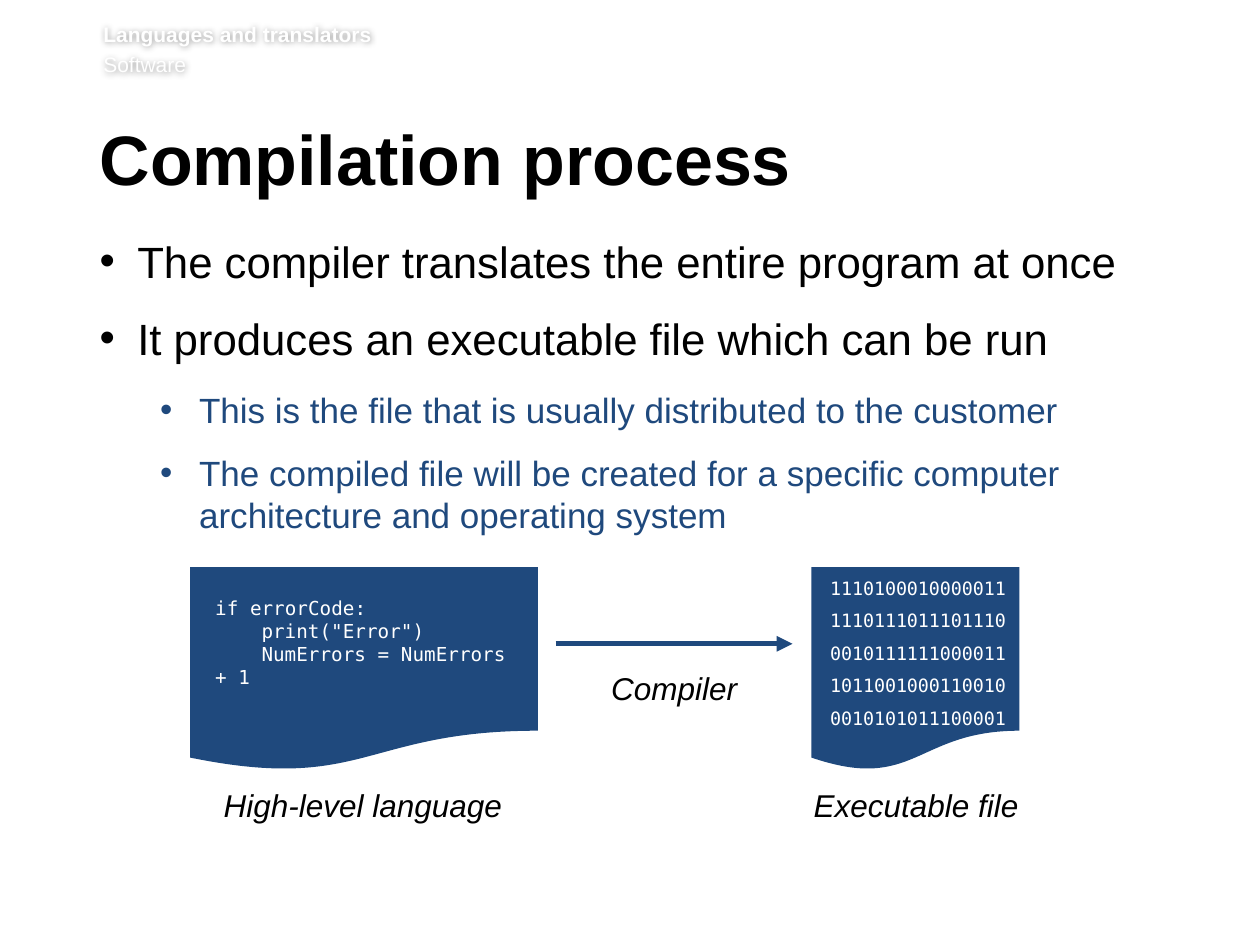
import pptx
import pptx.util
import pptx.dml.color
import pptx.enum.shapes
import pptx.enum.text
import pptx.oxml
import pptx.oxml.ns

COLORS = {"text": "000000", "accent": "1F497D", "light": "FFFFFF"}
SANS, MONO = "Arial", "DejaVu Sans Mono"
SLIDE_W, SLIDE_H = 10, 7.5
COLS, ROWS = 100, 75  # grid of 0.1 inch cells

BINARY = ["1110100010000011", "1110111011101110", "0010111111000011",
          "1011001000110010", "0010101011100001"]
# Each line of code with its level of indentation
CODE = [("if errorCode:", 0), ('print("Error")', 1),
        ("NumErrors = NumErrors + 1", 1)]


def col(n):
    return pptx.util.Inches(SLIDE_W * n / COLS)


def row(n):
    return pptx.util.Inches(SLIDE_H * n / ROWS)


def box(left, top, width, height):
    return col(left), row(top), col(width), row(height)


def rgb(name):
    return pptx.dml.color.RGBColor.from_string(COLORS[name])


def add_xml(parent, xml):
    head, sep, rest = xml.partition(">")
    slash = "/" if head.endswith("/") else ""
    head = head.rstrip("/") + " " + pptx.oxml.ns.nsdecls("a") + slash
    parent.append(pptx.oxml.parse_xml(head + sep + rest))


def add_text(shapes, place, lines, size, color="text", font=SANS, bold=False,
             italic=False, align="LEFT", after=0, insets=(0.1, 0.05, 0.1, 0.05)):
    """Text box with one paragraph per line, all in one style."""
    sp = shapes.add_textbox(*box(*place))
    tf = sp.text_frame
    tf.word_wrap = True
    tf.margin_left, tf.margin_top, tf.margin_right, tf.margin_bottom = map(
        pptx.util.Inches, insets)
    tf.text = "\n".join(lines)
    for p in tf.paragraphs:
        p.alignment = getattr(pptx.enum.text.PP_ALIGN, align)
        p.space_after = pptx.util.Pt(after)
        for r in p.runs:
            style(r, size, color, font, bold, italic)
    return sp


def style(r, size, color, font=SANS, bold=False, italic=False):
    r.font.size = pptx.util.Pt(size)
    r.font.color.rgb = rgb(color)
    r.font.name = font
    r.font.bold, r.font.italic = bold, italic


def indent(p, margin, first):
    pPr = p._p.get_or_add_pPr()
    pPr.set("marL", str(col(margin)))
    pPr.set("indent", str(col(first)))
    return pPr


def add_bullets(shapes, place, items):
    levels = [(25, "text", 14, 3), (20, "accent", 12, 7.9)]
    sp = add_text(shapes, place, [text for text, _ in items], 25,
                  insets=(0, 0, 0.1, 0.05))
    for p, (_, level) in zip(sp.text_frame.paragraphs, items):
        size, color, after, margin = levels[level]
        p.level = level
        p.space_after = pptx.util.Pt(after)
        style(p.runs[0], size, color)
        pPr = indent(p, margin, -3.1 if level else -3)
        add_xml(pPr, '<a:buFont typeface="Arial"/>')
        add_xml(pPr, '<a:buChar char="•"/>')


def add_document(shapes, place):
    """Group that starts with a document shape; returns its shapes."""
    group = shapes.add_group_shape().shapes
    kind = pptx.enum.shapes.MSO_SHAPE.FLOWCHART_DOCUMENT
    sp = group.add_shape(kind, *box(*place))
    sp.shadow.inherit = False
    sp.fill.solid()
    sp.fill.fore_color.rgb = rgb("accent")
    sp.line.fill.background()
    return group


def add_arrow(shapes, left, right, y):
    kind = pptx.enum.shapes.MSO_CONNECTOR.STRAIGHT
    line = shapes.add_connector(kind, col(left), row(y), col(right), row(y))
    line.line.color.rgb = rgb("accent")
    line.line.width = pptx.util.Pt(3)
    add_xml(line.line._get_or_add_ln(), '<a:tailEnd type="triangle"/>')
    add_xml(line._element.spPr, "<a:effectLst/>")


def add_header(shapes):
    sp = add_text(shapes, (8.2, 1.7, 88.2, 4.9),
                  ["Languages and translators", "Software"], 12, "light",
                  insets=(0, 0, 0, 0.05))
    for p in sp.text_frame.paragraphs:
        p.space_before = pptx.util.Pt(2.9)
    sp.text_frame.paragraphs[0].runs[0].font.bold = True
    # Soft dark halo that makes the white letters legible
    add_xml(sp._element.spPr,
            '<a:effectLst><a:outerShdw blurRad="50800" dist="0" algn="ctr">'
            '<a:srgbClr val="000000"><a:alpha val="40000"/></a:srgbClr>'
            '</a:outerShdw></a:effectLst>')


def main():
    prs = pptx.Presentation()
    prs.slide_width = pptx.util.Inches(SLIDE_W)
    prs.slide_height = pptx.util.Inches(SLIDE_H)
    shapes = prs.slides.add_slide(prs.slide_layouts[6]).shapes

    # Header, title and bullets
    add_header(shapes)
    title = add_text(shapes, (7.9, 9.9, 85.5, 7.3), ["Compilation process"], 40,
                     bold=True, after=15, insets=(0, 0.05, 0.1, 0.05))
    title.text_frame.paragraphs[0].line_spacing = pptx.util.Pt(39)
    add_bullets(shapes, (7.9, 18.6, 85.3, 56.4), [
        ("The compiler translates the entire program at once", 0),
        ("It produces an executable file which can be run", 0),
        ("This is the file that is usually distributed to the customer", 1),
        ("The compiled file will be created for a specific computer "
         "architecture and operating system", 1)])

    # Source code
    source = add_document(shapes, (15.1, 45, 27.6, 16.2))
    code = add_text(source, (15.1, 46.8, 27.4, 6.6),
                    [text for text, _ in CODE], 11, "light", MONO)
    for p, (_, depth) in zip(code.text_frame.paragraphs, CODE):
        indent(p, 1, 3.68 * depth)

    # Machine code
    program = add_document(shapes, (64.4, 45, 16.5, 16.2))
    add_text(program, (64.9, 45.3, 16, 13.2), BINARY, 10.5, "light", MONO,
             after=6)

    # Arrow and captions
    add_arrow(shapes, 44.1, 62.9, 51.1)
    for text, left, top, width in [("Compiler", 44.1, 52.6, 18.8),
                                   ("High-level language", 15.1, 61.9, 27.4),
                                   ("Executable file", 63.2, 61.9, 19)]:
        add_text(shapes, (left, top, width, 4), [text], 18, italic=True,
                 align="CENTER")

    prs.save("out.pptx")


if __name__ == "__main__":
    main()
